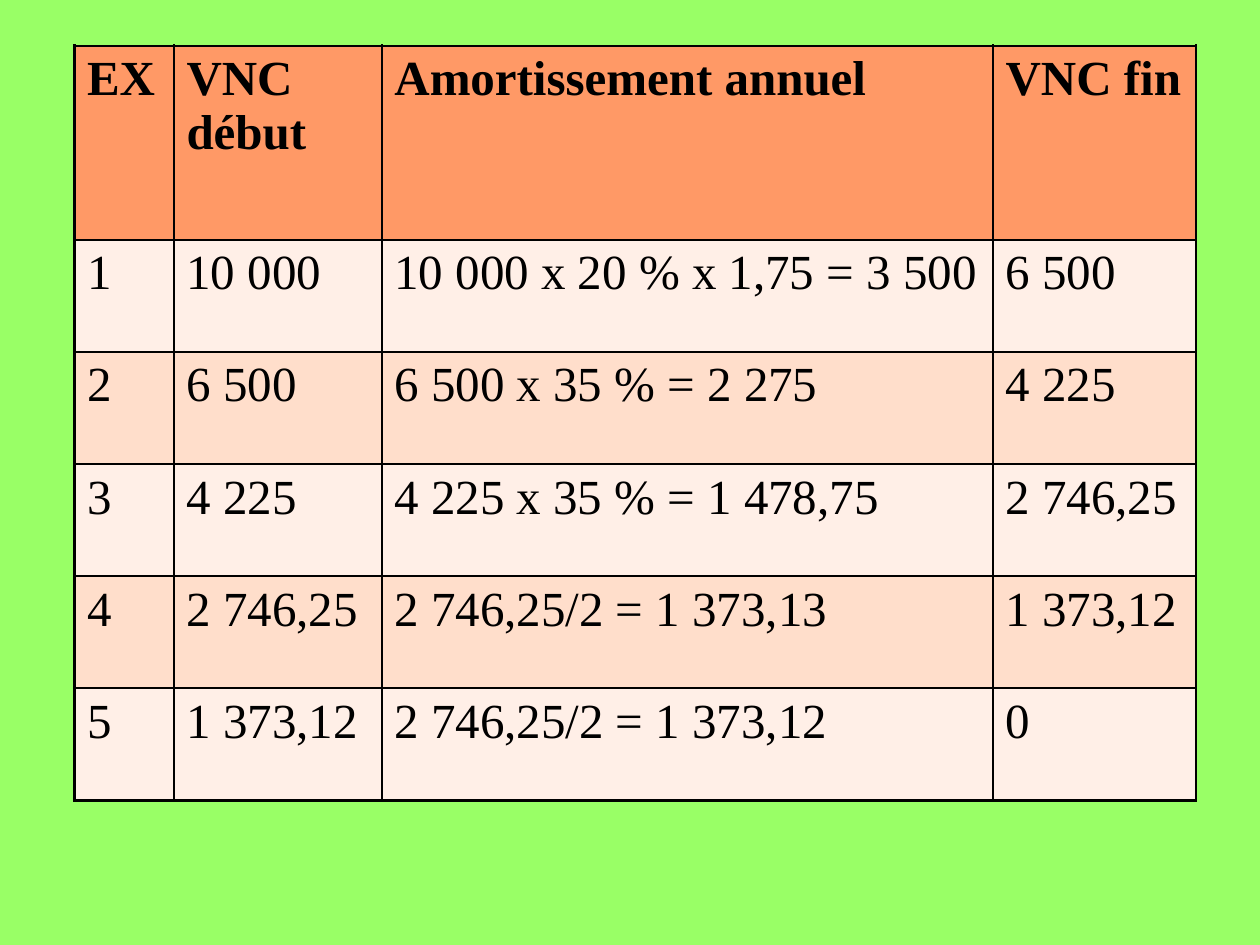
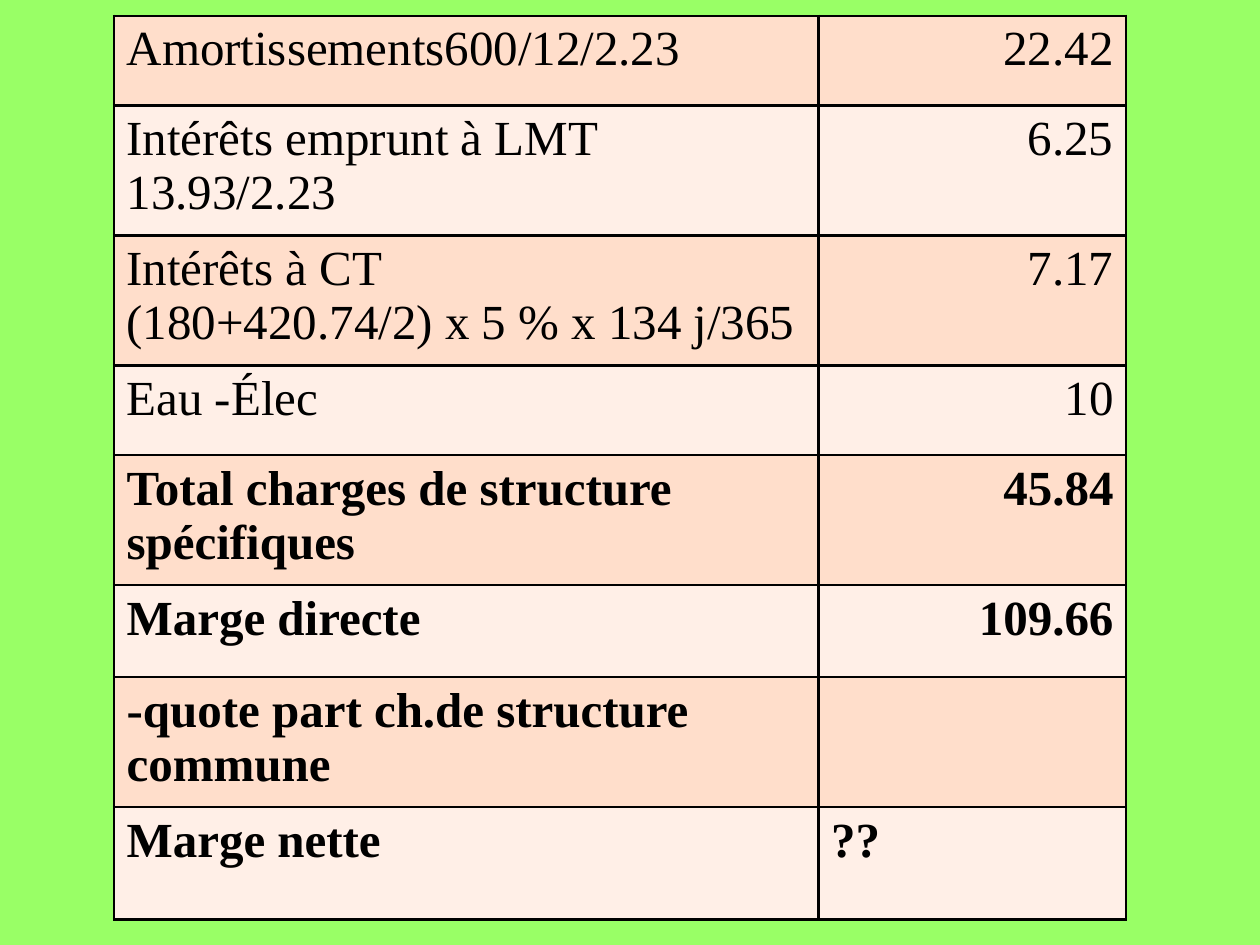
from dataclasses import dataclass
from lxml.etree import SubElement
from pptx import Presentation
from pptx.dml.color import RGBColor as RGB
from pptx.enum.text import PP_ALIGN as Align
from pptx.oxml.ns import qn
from pptx.util import Cm, Pt


@dataclass(frozen=True)
class Theme:
    background: str = "99FF66"
    header: str = "FF9966"
    light: str = "FFEFE7"
    dark: str = "FFDECB"
    ink: str = "000000"
    font: str = "Times New Roman"
    size: int = 28
    border: float = 1.47


@dataclass(frozen=True)
class Box:
    """Area in centimetres."""
    left: float
    top: float
    width: float
    height: float


THEME = Theme()

DEPRECIATION = [
    ("EX", "VNC début", "Amortissement annuel", "VNC fin"),
    ("1", "10 000", "10 000 x 20 % x 1,75 = 3 500", "6 500"),
    ("2", "6 500", "6 500 x 35 % = 2 275", "4 225"),
    ("3", "4 225", "4 225 x 35 % = 1 478,75", "2 746,25"),
    ("4", "2 746,25", "2 746,25/2 = 1 373,13", "1 373,12"),
    ("5", "1 373,12", "2 746,25/2 = 1 373,12", "0"),
]

MARGIN = [
    ("Amortissements600/12/2.23", "22.42"),
    ("Intérêts emprunt à LMT 13.93/2.23", "6.25"),
    ("Intérêts à CT\n(180+420.74/2) x 5 % x 134 j/365", "7.17"),
    ("Eau -Élec", "10"),
    ("Total charges de structure spécifiques", "45.84"),
    ("Marge directe", "109.66"),
    ("-quote part ch.de structure commune", ""),
    ("Marge nette", "??"),
]
FIRST_TOTAL = 4  # rows from here on are bold


def add_borders(cell):
    tcPr = cell._tc.get_or_add_tcPr()
    for side in ("lnL", "lnR", "lnT", "lnB"):
        ln = SubElement(tcPr, qn(f"a:{side}"), w=str(Pt(THEME.border)))
        fill = SubElement(ln, qn("a:solidFill"))
        SubElement(fill, qn("a:srgbClr"), val=THEME.ink)


def fill_cell(cell, text, fill, bold, align):
    add_borders(cell)
    cell.fill.solid()
    cell.fill.fore_color.rgb = RGB.from_string(fill)
    if not text:
        return
    cell.text = text
    style = {"name": THEME.font, "size": Pt(THEME.size), "bold": bold}
    for p in cell.text_frame.paragraphs:
        p.alignment = align
        for r in p.runs:
            for name, value in style.items():
                setattr(r.font, name, value)
            r.font.color.rgb = RGB.from_string(THEME.ink)


def add_grid(s, box, rows, col_shares, row_shares, cell_format):
    """Table filling the box; cell_format(i, j, text) gives fill, bold, align."""
    frame = s.shapes.add_table(len(rows), len(col_shares), Cm(box.left),
                               Cm(box.top), Cm(box.width), Cm(box.height))
    table = frame.table
    table.first_row = table.horz_banding = False
    for col, share in zip(table.columns, col_shares):
        col.width = Cm(box.width * share / sum(col_shares))
    for row, share in zip(table.rows, row_shares):
        row.height = Cm(box.height * share / sum(row_shares))
    for i, row in enumerate(rows):
        for j, text in enumerate(row):
            fill_cell(table.cell(i, j), text, *cell_format(i, j, text))


def depreciation_slide(s, box):
    def cell_format(i, j, text):
        band = THEME.light if i % 2 else THEME.dark
        return (band if i else THEME.header), i == 0, Align.LEFT

    add_grid(s, box, DEPRECIATION, (0.79, 1.65, 4.85, 1.61),
             [1.54] + [0.89] * 5, cell_format)


def margin_slide(s, box):
    def cell_format(i, j, text):
        band = THEME.light if i % 2 else THEME.dark
        is_amount = j == 1 and text != "??"
        return band, i >= FIRST_TOTAL, Align.RIGHT if is_amount else Align.LEFT

    one_line, two_lines = 0.71, 1.03
    heights = (one_line, two_lines, two_lines, one_line,
               two_lines, 0.73, two_lines, 0.89)
    add_grid(s, box, MARGIN, (5.59, 2.44), heights, cell_format)


def main():
    prs = Presentation()
    prs.slide_width, prs.slide_height = Cm(25.4), Cm(19.05)

    # Shared background
    background = prs.slide_master.background.fill
    background.solid()
    background.fore_color.rgb = RGB.from_string(THEME.background)

    blank = prs.slide_layouts[6]
    depreciation_slide(prs.slides.add_slide(blank), Box(1.5, 0.92, 22.61, 15.22))
    margin_slide(prs.slides.add_slide(blank), Box(2.3, 0.32, 20.4, 18.22))
    prs.save("out.pptx")


if __name__ == "__main__":
    main()
